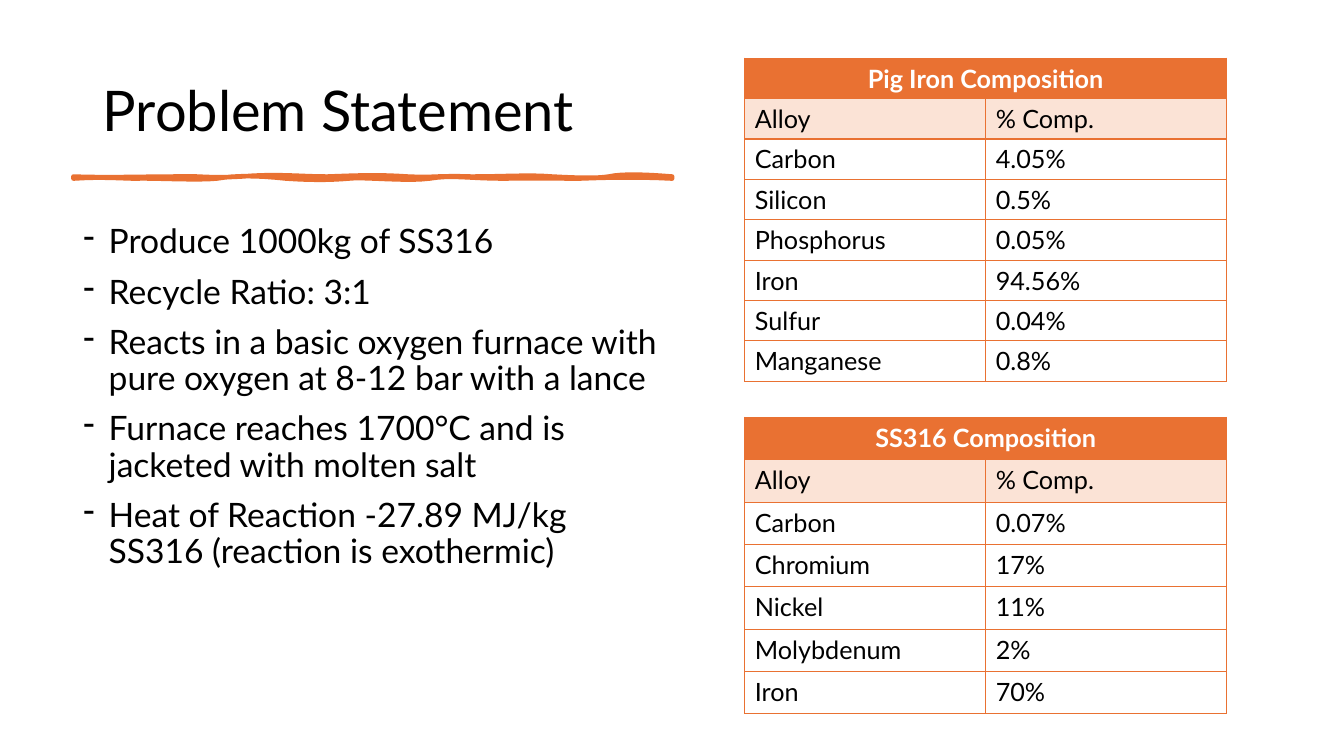
from lxml import etree
from pptx import Presentation
from pptx import util as u
from pptx.dml.color import RGBColor
from pptx.enum import text
from pptx.oxml import ns

ORANGE, PEACH, BLACK, WHITE = "E97132", "FBE3D6", "000000", "FFFFFF"

GOALS = [
    "Produce 1000kg of SS316",
    "Recycle Ratio: 3:1",
    "Reacts in a basic oxygen furnace with pure oxygen at 8-12 bar with a lance",
    "Furnace reaches 1700°C and is jacketed with molten salt",
    "Heat of Reaction -27.89 MJ/kg SS316 (reaction is exothermic)",
]
PIG_IRON = [("Carbon", "4.05%"), ("Silicon", "0.5%"), ("Phosphorus", "0.05%"),
            ("Iron", "94.56%"), ("Sulfur", "0.04%"), ("Manganese", "0.8%")]
STEEL = [("Carbon", "0.07%"), ("Chromium", "17%"), ("Nickel", "11%"),
         ("Molybdenum", "2%"), ("Iron", "70%")]

LOWER_EDGE = [
    (0, .05), (.71, 0), (1.27, .05), (1.57, .05), (1.9, .03), (3.15, .1), (3.61, .05),
    (4.09, -.03), (4.62, -.03), (5.36, .05), (6.1, .1), (6.58, .08), (6.93, .05),
    (7.29, 0), (8.41, .13), (8.97, .05), (9.53, -.05), (9.98, .05), (10.85, .05),
    (11.73, .03), (12.24, .05), (12.75, .05), (13.23, .03), (14.17, 0), (15.09, .05),
]
UPPER_EDGE = [
    (15.09, 0), (14.5, -.05), (13.84, -.08), (13.49, 0), (13.16, .05), (12.67, .03),
    (12.07, 0), (11.46, -.05), (10.87, 0), (10.03, 0), (9.19, -.03), (9.12, .03),
    (8.43, 0), (7.77, -.05), (7.11, -.03), (6.4, 0), (5.72, 0), (5.11, -.08),
    (4.22, 0), (3.35, .05), (3.23, -.03), (2.49, 0), (1.75, 0), (.79, .03), (0, 0),
]


def colour(value):
    return RGBColor.from_string(value)


def write(para, words, size=18, ink=BLACK, bold=False, align=text.PP_ALIGN.LEFT, spacing=None):
    para.alignment = align
    para.line_spacing = spacing
    span = para.add_run()
    span.text = words
    span.font.name = "Lato"
    span.font.size = u.Pt(size)
    span.font.bold = bold
    span.font.color.rgb = colour(ink)


def add_title(page, words, left, top, width, height):
    box = page.shapes.title
    box.left, box.top, box.width, box.height = map(u.Cm, (left, top, width, height))
    box.text_frame.vertical_anchor = text.MSO_ANCHOR.MIDDLE
    box.text_frame.auto_size = text.MSO_AUTO_SIZE.NONE
    write(box.text_frame.paragraphs[0], words, size=40, spacing=0.9)


def sample_curve(knots, steps=8):
    points = [knots[0]]
    for first in range(0, len(knots) - 1, 3):
        a, b, c, d = knots[first:first + 4]
        for step in range(1, steps + 1):
            t = step / steps
            weights = ((1 - t) ** 3, 3 * t * (1 - t) ** 2, 3 * t * t * (1 - t), t ** 3)
            points.append(tuple(sum(w * k[axis] for w, k in zip(weights, (a, b, c, d)))
                                for axis in (0, 1)))
    return points


def add_brush_rule(page, left, top):
    points = [(u.Cm(left + x), u.Cm(top + y))
              for x, y in sample_curve(LOWER_EDGE) + sample_curve(UPPER_EDGE)]
    builder = page.shapes.build_freeform(*points[0])
    builder.add_line_segments(points[1:], close=True)
    brush = builder.convert_to_shape()
    brush.shadow.inherit = False
    brush.fill.solid()
    brush.fill.fore_color.rgb = colour(ORANGE)
    brush.line.color.rgb = colour(ORANGE)
    brush.line.width = u.Pt(3.25)


def add_goals(page, goals, left, top, width, height):
    frame = page.shapes.add_textbox(*map(u.Cm, (left, top, width, height))).text_frame
    frame.word_wrap = True
    for index, goal in enumerate(goals):
        para = frame.add_paragraph() if index else frame.paragraphs[0]
        write(para, goal, size=24, spacing=0.9)
        para.space_before = u.Pt(10 if index else 0)
        properties = para._p.get_or_add_pPr()
        indent = u.Cm(0.64)
        properties.set("marL", str(indent))
        properties.set("indent", str(-indent))
        etree.SubElement(properties, ns.qn("a:buChar"), char="-")


def format_cell(cell, fill):
    properties = cell._tc.get_or_add_tcPr()
    for side in ("lnL", "lnR", "lnT", "lnB"):
        border = etree.SubElement(properties, ns.qn("a:" + side), w=str(u.Pt(1)))
        paint = etree.SubElement(border, ns.qn("a:solidFill"))
        etree.SubElement(paint, ns.qn("a:srgbClr"), val=ORANGE)
    if fill:
        cell.fill.solid()
        cell.fill.fore_color.rgb = colour(fill)
    else:
        cell.fill.background()


def add_composition(page, heading, alloys, left, top, width, height):
    rows = [(heading, ""), ("Alloy", "% Comp.")] + alloys
    frame = page.shapes.add_table(len(rows), 2, *map(u.Cm, (left, top, width, height)))
    table = frame.table
    for column in table.columns:
        column.width = u.Cm(width / 2)
    for row in table.rows:
        row.height = u.Cm(height / len(rows))
    fills = [ORANGE, PEACH] + [None] * len(alloys)
    for r, (values, fill) in enumerate(zip(rows, fills)):
        for c, value in enumerate(values):
            cell = table.cell(r, c)
            format_cell(cell, fill)
            if r:
                write(cell.text_frame.paragraphs[0], value)
    title_cell = table.cell(0, 0)
    title_cell.merge(table.cell(0, 1))
    write(title_cell.text_frame.paragraphs[0], heading, ink=WHITE, bold=True,
          align=text.PP_ALIGN.CENTER)


def main():
    deck = Presentation()
    deck.slide_width, deck.slide_height = u.Cm(33.87), u.Cm(19.05)
    page = deck.slides.add_slide(deck.slide_layouts[5])
    add_title(page, "Problem Statement", 2.34, 1.02, 29.21, 3.68)
    add_brush_rule(page, 1.85, 4.45)
    add_goals(page, GOALS, 1.85, 5.54, 15.06, 12.09)
    add_composition(page, "Pig Iron Composition", PIG_IRON, 18.77, 1.47, 12.14, 8.13)
    add_composition(page, "SS316 Composition", STEEL, 18.77, 10.52, 12.14, 7.47)
    deck.save("out.pptx")


if __name__ == "__main__":
    main()
